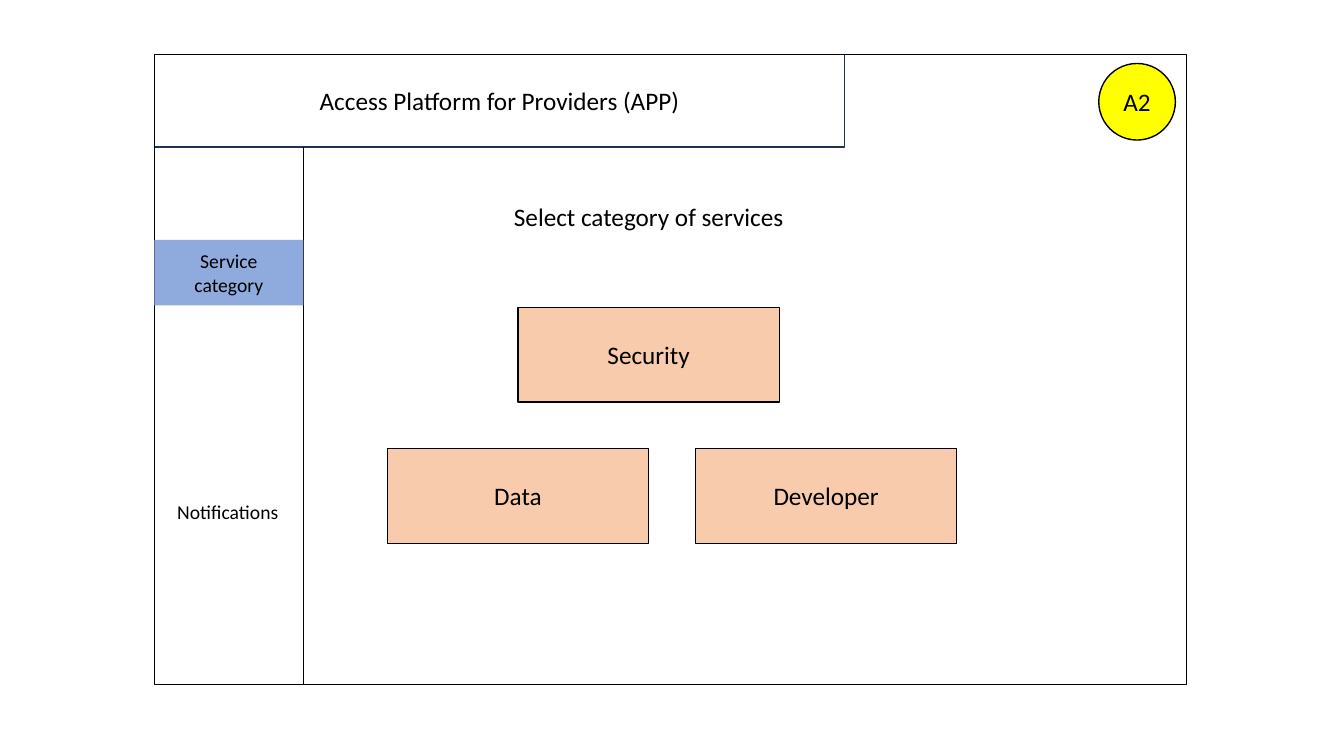
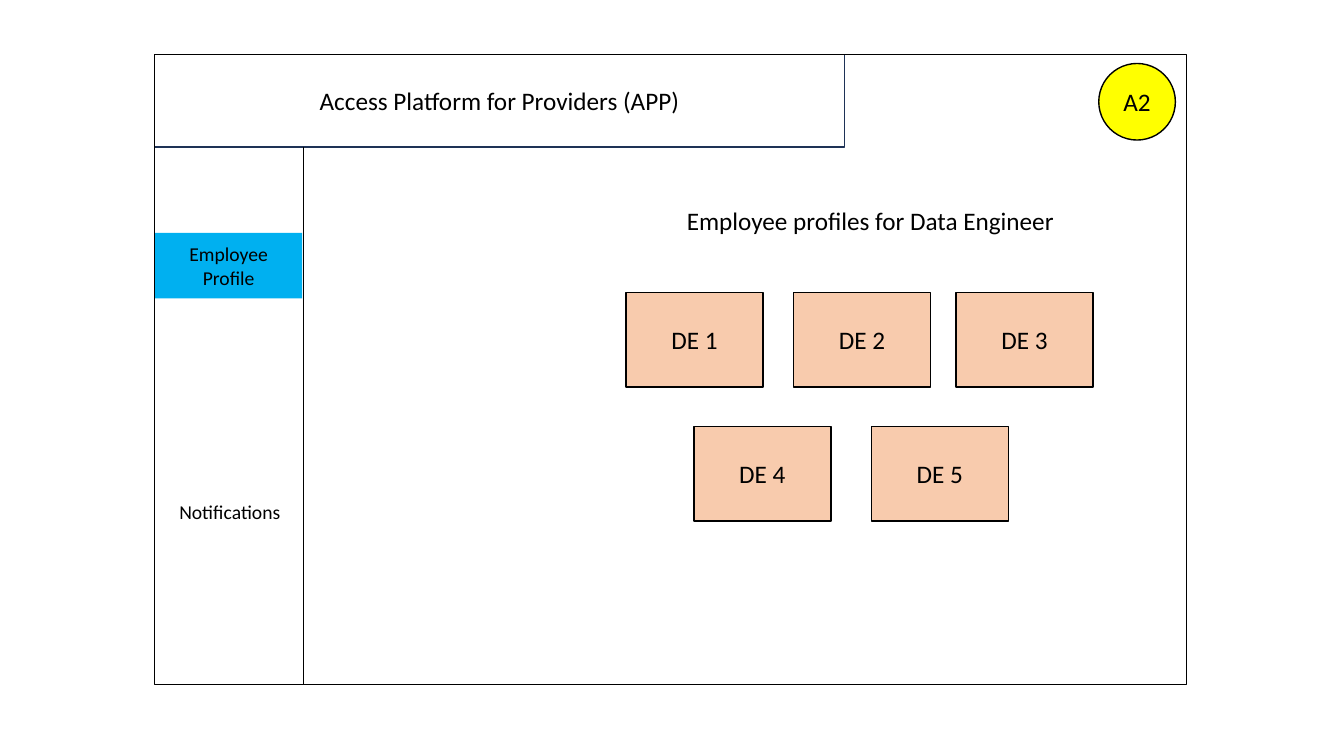
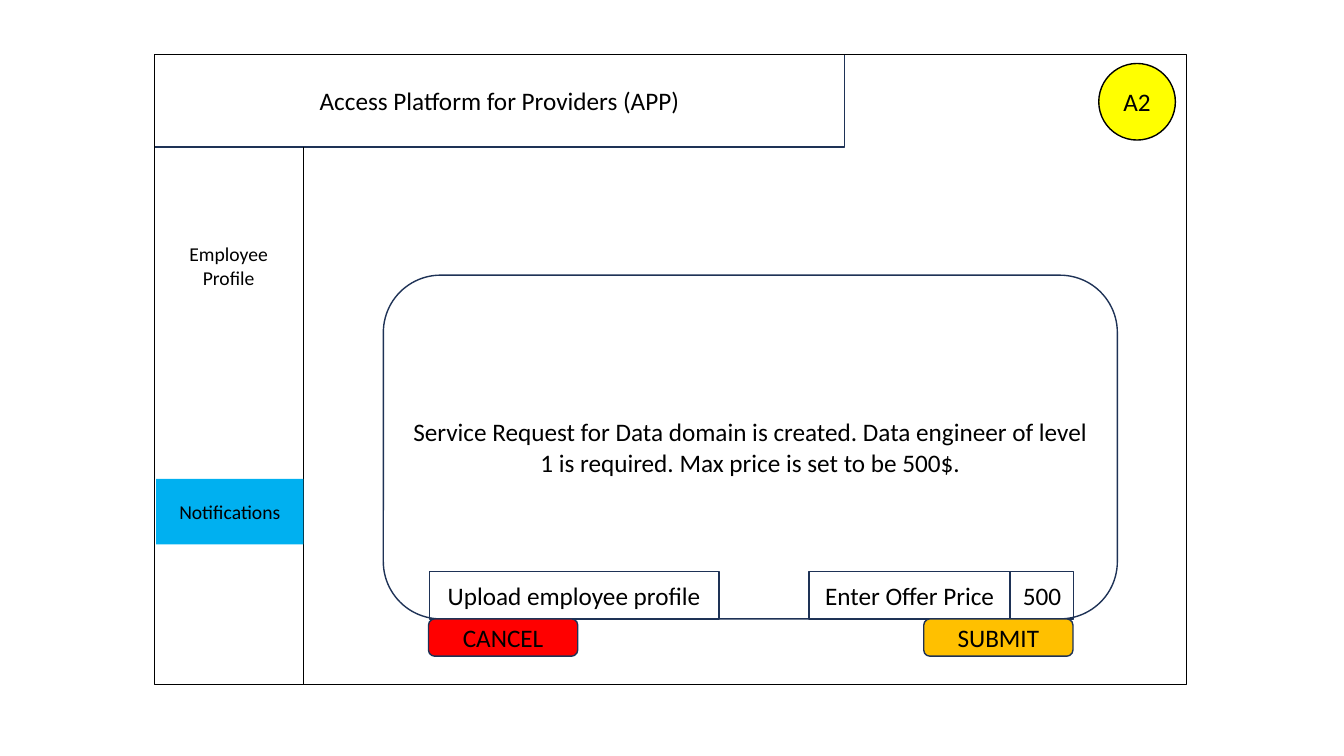
from dataclasses import dataclass

from lxml import etree
from pptx import Presentation
from pptx.dml.color import RGBColor
from pptx.enum import shapes, text
from pptx.oxml.ns import qn
from pptx.util import Inches, Pt

COLORS = {
    "ink": "000000", "navy": "1E3256", "card": "F8CBAD", "badge": "FFFF00",
    "category": "8FAADC", "active": "00B0F0", "submit": "FFC000", "cancel": "FF0000",
}
FONT = "Calibri"
COLUMN, ROW = 0.08, 0.05  # grid cell in inches; the frame is 128 by 125 cells
HEADER_ROWS = 18.4
SIDEBAR_COLUMNS = 18.5
RECT = shapes.MSO_SHAPE.RECTANGLE
ROUNDED = shapes.MSO_SHAPE.ROUNDED_RECTANGLE
OVAL = shapes.MSO_SHAPE.OVAL


@dataclass
class Box:
    """A region; areas inside it are given in columns and rows from its corner."""
    left: float
    top: float
    width: float
    height: float

    def area(self, column, row, columns, rows):
        return Box(self.left + column * COLUMN, self.top + row * ROW,
                   columns * COLUMN, rows * ROW)

    def inches(self):
        return [Inches(n) for n in (self.left, self.top, self.width, self.height)]


FRAME = Box(1.53, 0.54, 128 * COLUMN, 125 * ROW)


def color(name):
    return RGBColor.from_string(COLORS[name])


def write(shape, words, size=18, ink="ink"):
    frame = shape.text_frame
    frame.word_wrap = True
    frame.auto_size = text.MSO_AUTO_SIZE.NONE
    frame.vertical_anchor = text.MSO_ANCHOR.MIDDLE
    para = frame.paragraphs[0]
    para.alignment = text.PP_ALIGN.CENTER
    span = para.add_run()
    span.text = words
    span.font.name = FONT
    span.font.size = Pt(size)
    span.font.color.rgb = color(ink)


def outline(shape, line):
    if line:
        shape.line.color.rgb = color(line)
        shape.line.width = Pt(1)
    else:
        shape.line.fill.background()


def add_block(page, box, words="", kind=RECT, fill=None, line="ink", size=18):
    shape = page.shapes.add_shape(kind, *box.inches())
    shape.shadow.inherit = False
    if fill:
        shape.fill.solid()
        shape.fill.fore_color.rgb = color(fill)
    else:
        shape.fill.background()
    outline(shape, line)
    if words:
        write(shape, words, size)


def add_label(page, box, words, size=18):
    write(page.shapes.add_textbox(*box.inches()), words, size)


def add_sidebar(page, box, items):
    edge = box.left + box.width
    divider = page.shapes.add_connector(
        shapes.MSO_CONNECTOR.STRAIGHT, Inches(edge), Inches(box.top),
        Inches(edge), Inches(box.top + box.height))
    divider.line.color.rgb = color("ink")
    divider.line.width = Pt(0.5)
    etree.SubElement(divider._element.spPr, qn("a:effectLst"))
    for words, column, row, columns, fill in items:
        item = box.area(column, row, columns, 13)
        if fill:
            add_block(page, item, words, fill=fill, line=None, size=14)
        else:
            add_label(page, item, words, size=14)


def add_screen(deck, box, items):
    """Frame, header, badge and sidebar that every screen shares."""
    page = deck.slides.add_slide(deck.slide_layouts[5])
    add_block(page, box)
    title = page.shapes.title
    title.left, title.top, title.width, title.height = box.area(
        0, 0, 85.6, HEADER_ROWS).inches()
    outline(title, "navy")
    write(title, "Access Platform for Providers (APP)")
    add_block(page, box.area(117.1, 1.8, 9.5, 15.2), "A2", OVAL, "badge")
    add_sidebar(page, box.area(0, HEADER_ROWS, SIDEBAR_COLUMNS, 125 - HEADER_ROWS), items)
    return page


def add_cards(page, box, columns, rows):
    """Each row is its top and a list of (column, words)."""
    for row, cards in rows:
        for column, words in cards:
            add_block(page, box.area(column, row, columns, 18.8), words, fill="card")


def add_dialog(page, box, message, fields, buttons):
    """Rounded panel with fields on its lower edge and buttons below it."""
    add_block(page, box, message, ROUNDED, line="navy")
    bottom = box.height / ROW
    for words, column, columns in fields:
        add_block(page, box.area(column, bottom - 9.4, columns, 9.4), words, line="navy")
    for words, column, fill in buttons:
        add_block(page, box.area(column, bottom, 18.5, 7.4), words, ROUNDED, fill, "navy")


def build_categories(deck, box):
    page = add_screen(deck, box, [
        ("Notifications", 0, 65.8, 18.25, None),
        ("Service category", 0, 18.4, 18.5, "category")])
    add_label(page, box.area(21.1, 24.4, 80.4, 15.6), "Select category of services")
    add_cards(page, box, 32.4, [
        (50.2, [(45.1, "Security")]),
        (78.2, [(28.9, "Data"), (67.1, "Developer")])])


def build_profiles(deck, box):
    page = add_screen(deck, box, [
        ("Employee Profile", 0.1, 17, 18.25, "active"),
        ("Notifications", 0.25, 65.8, 18.25, None)])
    add_label(page, box.area(52.4, 25.2, 72.75, 15.6), "Employee profiles for Data Engineer")
    add_cards(page, box, 17, [
        (47.2, [(58.5, "DE 1"), (79.25, "DE 2"), (99.4, "DE 3")]),
        (73.8, [(66.9, "DE 4"), (88.9, "DE 5")])])


def build_request(deck, box):
    page = add_screen(deck, box, [
        ("Employee Profile", 0.1, 17, 18.25, None),
        ("Notifications", 0.25, 65.8, 18.25, "active")])
    add_dialog(
        page, box.area(28.4, 43.8, 91, 68.2),
        "Service Request for Data domain is created. Data engineer of level 1 "
        "is required. Max price is set to be 500$.",
        fields=[("Upload employee profile", 5.7, 35.9),
                ("Enter Offer Price", 52.8, 24.9), ("500", 77.7, 7.9)],
        buttons=[("SUBMIT", 67, "submit"), ("CANCEL", 5.6, "cancel")])


deck = Presentation()
deck.slide_width, deck.slide_height = Inches(13.33), Inches(7.5)
for build in (build_categories, build_profiles, build_request):
    build(deck, FRAME)
deck.save("out.pptx")
